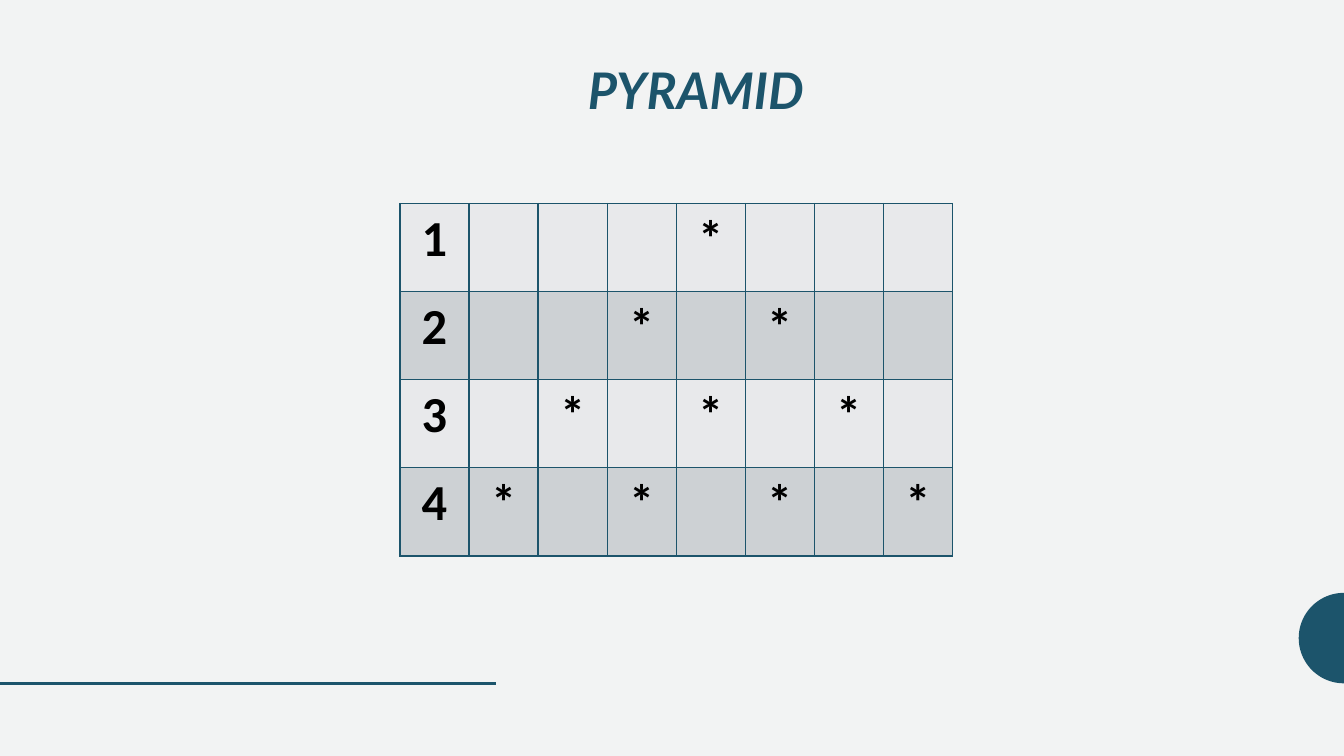
from math import cos, pi, sin

from lxml.etree import SubElement
from pptx import Presentation
from pptx.dml.color import RGBColor
from pptx.enum.shapes import MSO_CONNECTOR as Connector
from pptx.enum.text import MSO_ANCHOR as Anchor, PP_ALIGN as Align
from pptx.oxml.ns import qn
from pptx.util import Cm, Pt

TEAL = "1C546B"
BLACK = "000000"
BACKGROUND = "F2F3F3"
BANDS = ("E8E9EB", "CDD1D4")
LEVELS = 4
COLUMNS = 2 * LEVELS


def paint(fill, color):
    """Make a fill solid in the given hex colour."""
    fill.solid()
    fill.fore_color.rgb = RGBColor.from_string(color)


def write(frame, text, font="Calibri", size=36, color=BLACK, italic=False,
          spacing=1.0):
    """Write one centred bold paragraph into a text frame."""
    para = frame.paragraphs[0]
    para.alignment = Align.CENTER
    para.line_spacing = spacing
    span = para.add_run()
    span.text = text
    span.font.name = font
    span.font.size = Pt(size)
    span.font.bold = True
    span.font.italic = italic
    span.font.color.rgb = RGBColor.from_string(color)


def add_title(page, text):
    """Place and fill the title placeholder."""
    box = page.shapes.title
    box.left, box.top, box.width, box.height = Cm(2.1), Cm(1.55), Cm(30.87), Cm(1.6)
    box.text_frame.vertical_anchor = Anchor.MIDDLE
    write(box.text_frame, text, font="Lato", color=TEAL, italic=True, spacing=0.9)


def add_half_disc(page, center_x, center_y, radius, steps=48):
    """Draw the left half of a disc."""
    angles = [pi / 2 + pi * step / steps for step in range(steps + 1)]
    points = [(int(center_x + radius * cos(angle)),
               int(center_y - radius * sin(angle))) for angle in angles]
    builder = page.shapes.build_freeform(*points[0])
    builder.add_line_segments(points[1:], close=True)
    disc = builder.convert_to_shape()
    disc.shadow.inherit = False
    paint(disc.fill, TEAL)
    disc.line.fill.background()


def add_rule(page, length, top):
    """Draw a horizontal line from the left edge of the slide."""
    rule = page.shapes.add_connector(Connector.STRAIGHT, 0, top, length, top)
    rule.line.width = Pt(2)
    rule.line.color.rgb = RGBColor.from_string(TEAL)
    SubElement(rule._element.spPr, qn("a:effectLst"))


def add_borders(cell, color, width):
    """Give a table cell a solid line on all four sides."""
    properties = cell._tc.get_or_add_tcPr()
    for side in ("a:lnL", "a:lnR", "a:lnT", "a:lnB"):
        line = SubElement(properties, qn(side), w=str(width))
        solid = SubElement(line, qn("a:solidFill"))
        SubElement(solid, qn("a:srgbClr"), val=color)


def add_pyramid(page, left, top, column_width, row_height):
    """Build the table with one more star on every level."""
    table = page.shapes.add_table(LEVELS, COLUMNS, left, top,
                                  column_width * COLUMNS,
                                  row_height * LEVELS).table
    table.first_row = False
    table.horz_banding = False
    for column in table.columns:
        column.width = column_width
    for index, row in enumerate(table.rows):
        row.height = row_height
        level = index + 1
        first_star = LEVELS - index
        stars = range(first_star, first_star + 2 * level, 2)
        for position, cell in enumerate(row.cells):
            add_borders(cell, TEAL, Pt(1))
            paint(cell.fill, BANDS[index % 2])
            if position == 0:
                write(cell.text_frame, str(level))
            elif position in stars:
                write(cell.text_frame, "*")


def main():
    """Build the slide and save it."""
    deck = Presentation()
    deck.slide_width, deck.slide_height = Cm(33.87), Cm(19.05)
    page = deck.slides.add_slide(deck.slide_layouts[5])
    paint(page.background.fill, BACKGROUND)
    add_half_disc(page, deck.slide_width, Cm(16.08), Cm(1.14))
    add_rule(page, Cm(12.5), Cm(17.22))
    add_title(page, "PYRAMID")
    add_pyramid(page, Cm(10.08), Cm(5.13), Cm(1.74), Cm(2.22))
    deck.save("out.pptx")


main()
